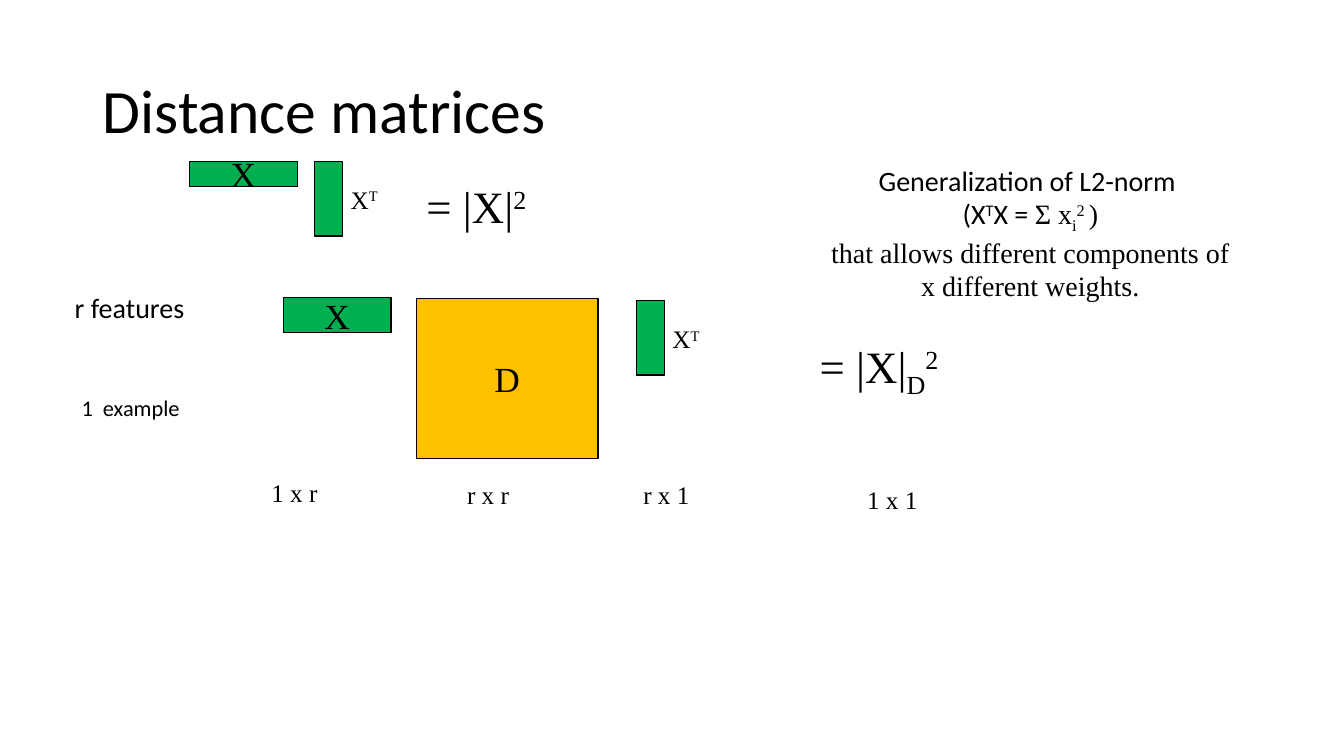
from pptx import Presentation
from pptx import util as u
from pptx.dml.color import RGBColor
from pptx.enum import shapes, text

PX = 9144  # EMU per px, 100 px to the inch
COLORS = {"ink": "000000", "vector": "00B050", "matrix": "FFC000"}
SANS, SERIF = "Calibri", "Times New Roman"
SUP, SUB = 30000, -25000
LEFT, CENTER = text.PP_ALIGN.LEFT, text.PP_ALIGN.CENTER
X_T = [("X",), ("T", SUP)]


def color(name):
    return RGBColor.from_string(COLORS[name])


def add_run(p, size, font, words, baseline=0):
    r = p.add_run()
    r.text = words
    r.font.size = u.Pt(size)
    r.font.name = font
    r.font.color.rgb = color("ink")
    if baseline:
        r._r.get_or_add_rPr().set("baseline", str(baseline))


def add_label(slide, box, runs, size, font=SERIF, align=CENTER, wrap=True):
    """Text box whose runs are (words, baseline) pairs."""
    sp = slide.shapes.add_textbox(*(v * PX for v in box))
    tf = sp.text_frame
    tf.word_wrap = wrap
    tf.auto_size = text.MSO_AUTO_SIZE.SHAPE_TO_FIT_TEXT
    p = tf.paragraphs[0]
    p.alignment = align
    for run in runs:
        add_run(p, size, font, *run)
    return tf


def add_block(slide, box, fill, name=""):
    """Outlined rectangle standing for a vector or matrix."""
    sp = slide.shapes.add_shape(shapes.MSO_SHAPE.RECTANGLE, *(v * PX for v in box))
    sp.shadow.inherit = False
    sp.fill.solid()
    sp.fill.fore_color.rgb = color(fill)
    sp.line.color.rgb = color("ink")
    sp.line.width = u.Pt(1)
    if name:
        tf = sp.text_frame
        tf.vertical_anchor = text.MSO_ANCHOR.MIDDLE
        tf.paragraphs[0].alignment = CENTER
        add_run(tf.paragraphs[0], 25.2, SERIF, name)


def add_title(slide, box):
    tf = add_label(slide, box, [("Distance matrices",)], 44, SANS, LEFT)
    tf.auto_size = text.MSO_AUTO_SIZE.NONE
    tf.vertical_anchor = text.MSO_ANCHOR.MIDDLE
    tf.paragraphs[0].line_spacing = 0.9


def add_transpose(slide, x, y):
    """Column vector with its label on the right."""
    add_block(slide, (x, y, 28, 74), "vector")
    add_label(slide, (x + 26, y + 18, 55, 40), X_T, 18, align=LEFT)


def add_plain_norm(slide, box):
    x, y, w, h = box
    add_block(slide, (x, y, 107, 25), "vector", "X")
    add_transpose(slide, x + 124, y)
    add_label(slide, (x + 214, y + 12, w - 214, 64),
              [(" = |X|",), ("2", SUP)], 32, align=LEFT)


def add_weighted_norm(slide, box):
    x, y, w, h = box
    # Factors and result
    add_block(slide, (x + 273, y + 12, 107, 35), "vector", "X")
    add_block(slide, (x + 405, y + 13, 180, 159), "matrix", "D")
    add_transpose(slide, x + 623, y + 15)
    add_label(slide, (x + 784, y + 48, w - 784, 64),
              [(" = |X|",), ("D", SUB), ("2", SUP)], 32, align=LEFT)
    # Captions on the left
    add_label(slide, (x, y, 241, 44), [("r features",)], 20, SANS)
    add_label(slide, (x + 62, y + 103, 119, 37), [("1  example",)], 16, SANS, wrap=False)
    # Dimensions below
    for words, dx, dy, width in (("1 x r", 251, 186, 66), ("r x r", 445, 188, 62),
                                 ("r x 1", 620, 188, 66), ("1 x 1", 784, 193, 186)):
        add_label(slide, (x + dx, y + dy, width, 40), [(words,)], 18, wrap=width > 100)


def add_note(slide, box):
    tf = add_label(slide, box, [("Generalization of L2-norm ",)], 20, SANS)
    formula, meaning = tf.add_paragraph(), tf.add_paragraph()
    formula.alignment = meaning.alignment = CENTER
    for run in (("(X",), ("T", SUP), ("X = ",)):
        add_run(formula, 20, SANS, *run)
    for run in (("Σ x",), ("i", SUB), ("2 ", SUP), (")",)):
        add_run(formula, 20, SERIF, *run)
    add_run(meaning, 20, SERIF, "that allows different components of x different weights.")


def main():
    prs = Presentation()
    prs.slide_width, prs.slide_height = 1333 * PX, 750 * PX
    slide = prs.slides.add_slide(prs.slide_layouts[6])
    add_title(slide, (92, 40, 1150, 145))
    add_plain_norm(slide, (188, 160, 881, 76))
    add_weighted_norm(slide, (8, 283, 1325, 233))
    add_note(slide, (812, 157, 420, 145))
    prs.save("out.pptx")


if __name__ == "__main__":
    main()
